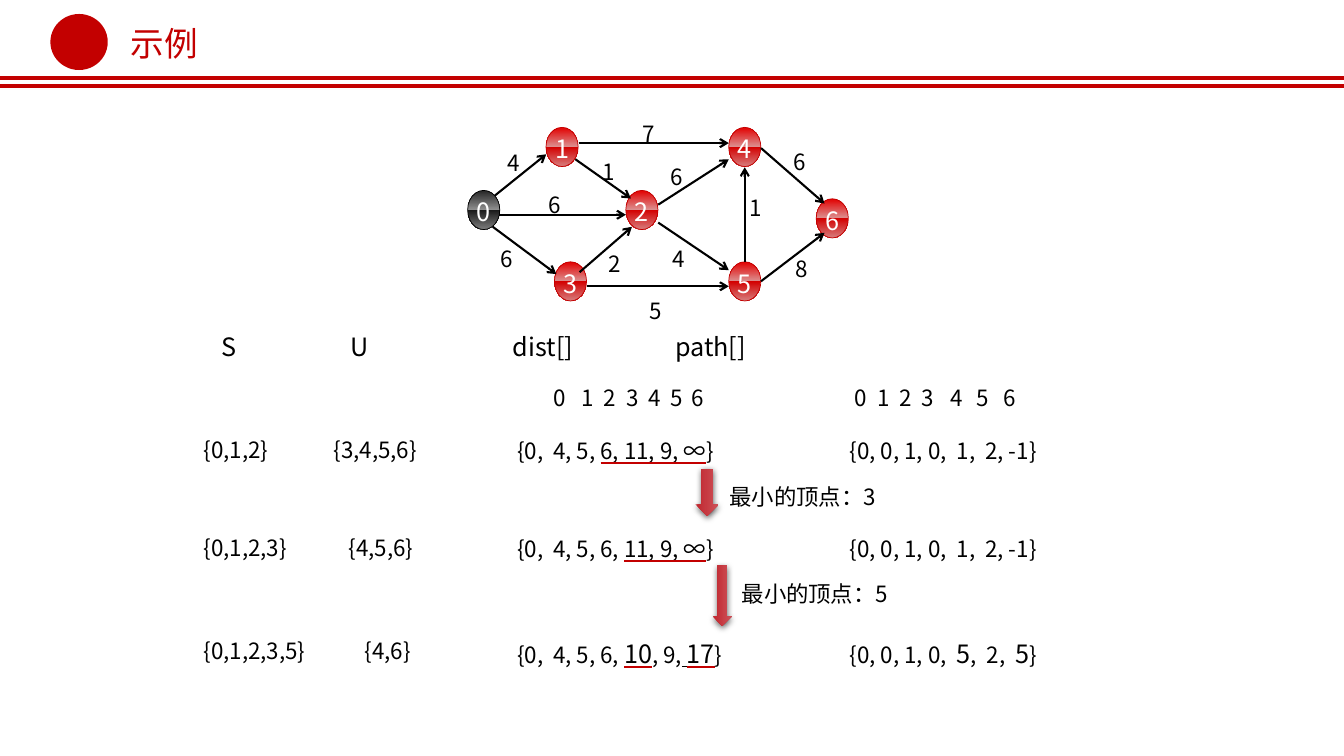
from pptx import Presentation
from pptx import util as u
from pptx.dml import color
from pptx.enum import shapes, text
from pptx.oxml import ns, parse_xml

Pt = u.Pt
FONT = "Noto Sans CJK SC"
RED, BLACK, WHITE = "C30000", "000000", "FFFFFF"
NODE_RED = [(0, "E20000"), (50, "DC9090"), (50, "D30000"), (100, "D77C7C")]
NODE_DARK = [(0, "252525"), (50, "909090"), (50, "191919"), (100, "7C7C7C")]
ARROW_RED = [(0, "C0262E"), (100, "CD5158")]
MARK = {"underline": text.MSO_UNDERLINE.HEAVY_LINE}
BIG = {"size": Pt(18)}
BIG_MARK = {**BIG, **MARK}

NODES = [("0", 334, 136), ("1", 390, 91), ("3", 396, 187), ("2", 447, 136),
         ("4", 520.5, 91), ("5", 520.5, 187), ("6", 583, 142)]
EDGES = [
    ((353.5, 139.7), (390.2, 110.2), "4", (350, 103)),
    ((356.4, 153.4), (447.1, 153.4), "6", (379.4, 133.2)),
    ((352, 162), (397.4, 195.8), "6", (345, 171.4)),
    ((413.3, 102.2), (520.6, 102.2), "7", (446.4, 82)),
    ((419, 204.5), (520.6, 204.5), "5", (451.4, 208.8)),
    ((414, 194.4), (451.4, 162), "2", (422, 175)),
    ((411, 113.8), (450.7, 141.8), "1", (417.6, 109.4)),
    ((470.2, 146.2), (520.6, 113.8), "6", (466.6, 113)),
    ((470.2, 159), (520.6, 193), "4", (468, 171.4)),
    ((532, 187), (532, 119.5), "1", (522.7, 135.4)),
    ((543.6, 200.9), (589, 166.3), "8", (555.8, 178.6)),
    ((543.6, 105.8), (589, 145.4), "6", (554.4, 102.2)),
]
STEPS = [
    (311.8, "{0,1,2}", (238.3, "{3,4,5,6}"),
     [("{0,  4, 5, ", {}), ("6, 11, 9, ∞", MARK), ("}", {})],
     [("{0, 0, 1, 0,  1,  2, -1}", {})]),
    (381.6, "{0,1,2,3}", (249.1, "{4,5,6}"),
     [("{0,  4, 5, 6, ", {}), ("11, 9, ∞", MARK), ("}", {})],
     [("{0, 0, 1, 0,  1,  2, -1}", {})]),
    (455, "{0,1,2,3,5}", (260.6, "{4,6}"),
     [("{0,  4, 5, 6, ", {}), ("10", BIG_MARK), (", 9,", {}),
      (" ", {"underline": True}), ("17", BIG_MARK), ("}", {})],
     [("{0, 0, 1, 0,  ", {}), ("5", BIG), (",  2,  ", {}), ("5", BIG), ("}", {})]),
]
CHOICES = [((496.8, 334.8, 16.6, 33.8), (514, 341.3), "最小的顶点：3"),
           ((509, 403.9, 13.7, 43.2), (522.7, 411), "最小的顶点：5")]


def rgb(value):
    return color.RGBColor.from_string(value)


def xml(tag, body="", attrs=""):
    return parse_xml(f"<a:{tag} {ns.nsdecls('a')} {attrs}>{body}</a:{tag}>")


def set_all(obj, values):
    for name, value in values.items():
        setattr(obj, name, value)


def add_run(p, words, fmt, ink):
    r = p.add_run()
    r.text = words
    set_all(r.font, {"name": FONT, "size": Pt(16), **fmt})
    r.font.color.rgb = rgb(ink)
    latin = r.font._element.find(ns.qn("a:latin"))
    latin.addnext(xml("ea", attrs=f'typeface="{FONT}"'))
    if fmt.get("underline") == MARK["underline"]:
        latin.addprevious(xml("uFill", f'<a:solidFill><a:srgbClr val="{RED}"/></a:solidFill>'))


def add_text(slide, box, runs, ink=BLACK, inset=True, frame=None, para=None, tabs=()):
    sp = slide.shapes.add_textbox(*map(Pt, box))
    tf = sp.text_frame
    set_all(tf, {"word_wrap": True, **(frame or {})})
    if not inset:
        set_all(tf, dict.fromkeys(
            ("margin_left", "margin_top", "margin_right", "margin_bottom"), 0))
    p = tf.paragraphs[0]
    set_all(p, para or {})
    for words, fmt in runs:
        add_run(p, words, fmt, ink)
    if tabs:
        stops = "".join(f'<a:tab pos="{Pt(pos)}" algn="l"/>' for pos in tabs)
        p._p.get_or_add_pPr().append(xml("tabLst", stops))


def add_filled(slide, kind, box, stops, angle):
    sp = slide.shapes.add_shape(kind, *map(Pt, box))
    gs = "".join(f'<a:gs pos="{pos * 1000}"><a:srgbClr val="{ink}"/></a:gs>'
                 for pos, ink in stops)
    sp._element.spPr.append(
        xml("gradFill", f'<a:gsLst>{gs}</a:gsLst><a:lin ang="{angle * 60000}" scaled="0"/>'))
    sp.line.fill.background()
    sp.shadow.inherit = False
    return sp


def add_node(slide, name, x, y):
    dark = name == "0"
    sp = add_filled(slide, shapes.MSO_SHAPE.OVAL, (x, y, 23, 28),
                    NODE_DARK if dark else NODE_RED, 90)
    sp.line.color.rgb = rgb(BLACK if dark else RED)
    sp.line.width = Pt(0.5)
    tf = sp.text_frame
    set_all(tf, {"word_wrap": False, "vertical_anchor": text.MSO_ANCHOR.MIDDLE})
    p = tf.paragraphs[0]
    set_all(p, {"alignment": text.PP_ALIGN.CENTER, "line_spacing": Pt(24)})
    add_run(p, name, BIG, WHITE)


def add_line(slide, start, end, ink, width, arrow=False):
    line = slide.shapes.add_connector(
        shapes.MSO_CONNECTOR.STRAIGHT, *map(Pt, (*start, *end)))
    line.line.color.rgb = rgb(ink)
    line.line.width = Pt(width)
    if arrow:
        line.line._get_or_add_ln().append(xml("tailEnd", attrs='type="arrow"'))
    line._element.spPr.append(xml("effectLst"))


def add_choice(slide, box, label, words):
    sp = add_filled(slide, shapes.MSO_SHAPE.DOWN_ARROW, box, ARROW_RED, 0)
    shadow = xml("outerShdw",
                 '<a:srgbClr val="000000"><a:alpha val="63000"/></a:srgbClr>',
                 f'blurRad="{Pt(4.5)}" dist="{Pt(1.5)}" dir="5400000" rotWithShape="0"')
    sp._element.spPr.find(ns.qn("a:effectLst")).append(shadow)
    add_text(slide, (*label, 142, 26.6), [(words, {})])


def add_header(slide):
    for y in (55.5, 61.2):
        add_line(slide, (0, y), (960, y), RED, 3)
    sp = slide.shapes.add_shape(shapes.MSO_SHAPE.OVAL, *map(Pt, (36, 10, 41, 40)))
    sp.fill.solid()
    sp.fill.fore_color.rgb = rgb(RED)
    sp.line.fill.background()
    sp.shadow.inherit = False
    add_text(slide, (86.4, 13, 62.6, 36), [("示例", {"size": Pt(24)})], RED,
             frame={"word_wrap": False, "vertical_anchor": text.MSO_ANCHOR.MIDDLE})


def add_graph(slide):
    for node in NODES:
        add_node(slide, *node)
    for start, end, weight, place in EDGES:
        add_line(slide, start, end, BLACK, 1.5, arrow=True)
        add_text(slide, (*place, 33.8, 26.6), [(weight, {})],
                 para={"alignment": text.PP_ALIGN.CENTER})


def add_steps(slide):
    add_text(slide, (151.2, 237.6, 646.6, 24.5), [("S\tU\tdist[]\tpath[]", BIG)],
             para={"line_spacing": 0.8}, tabs=(92, 208, 324))
    index = "\t".join(map(str, range(7)))
    for x, tabs in ((395.3, (20, 36, 52, 68, 84, 99)), (610.6, (16, 32, 48, 68, 87, 106))):
        add_text(slide, (x, 274.3, 186, 19.4), [(index, {})], inset=False, tabs=tabs)
    for y, known, (left, rest), dist, prior in STEPS:
        add_text(slide, (145.4, y, 99, 19.4), [(known, {})], inset=False)
        add_text(slide, (left, y, 114, 19.4), [(rest, {})], inset=False)
        add_text(slide, (369.4, y + 0.7, 208, 21.6), dist, inset=False)
        add_text(slide, (607, y + 0.7, 212, 21.6), prior, inset=False)
    for choice in CHOICES:
        add_choice(slide, *choice)


def main():
    prs = Presentation()
    set_all(prs, {"slide_width": Pt(960), "slide_height": Pt(540)})
    slide = prs.slides.add_slide(prs.slide_layouts[6])
    add_header(slide)
    add_graph(slide)
    add_steps(slide)
    prs.save("out.pptx")


if __name__ == "__main__":
    main()
